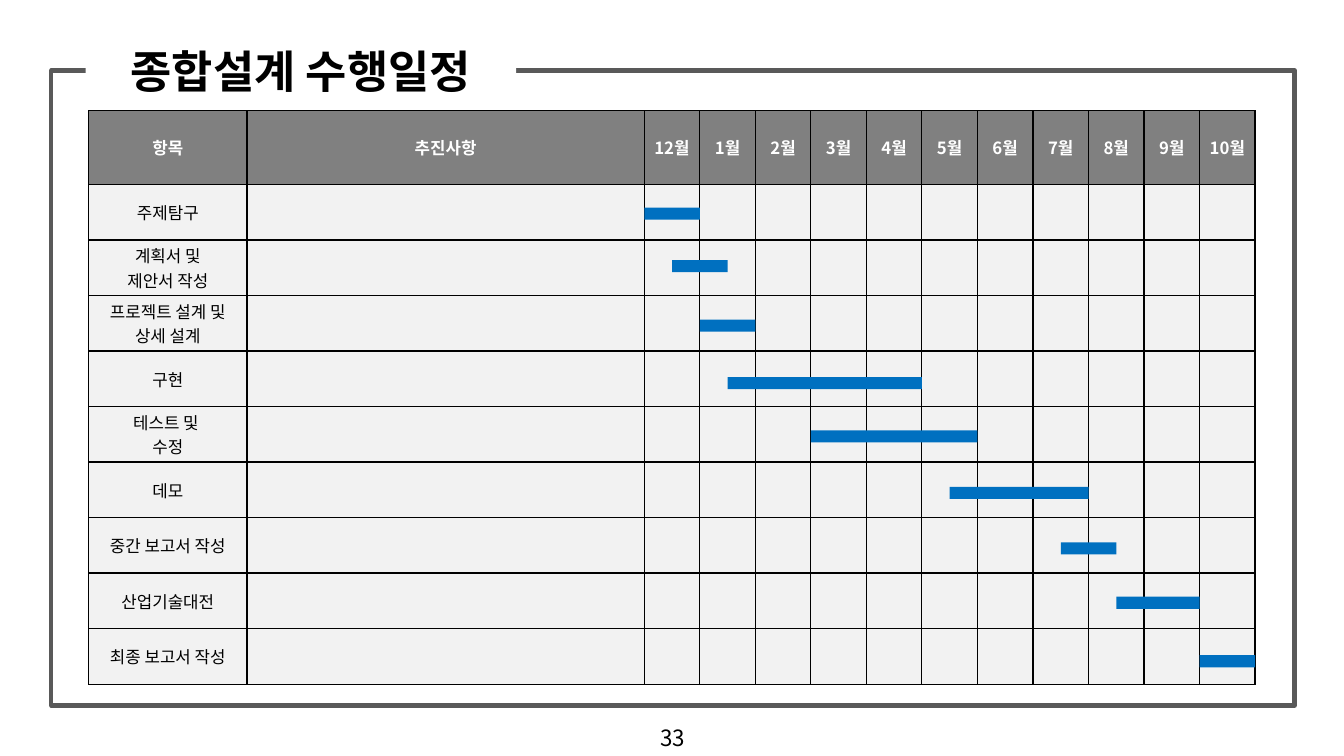
import pptx
import pptx.util
import pptx.dml.color
import pptx.enum.shapes
import pptx.enum.text
import pptx.oxml
import pptx.oxml.ns

FONT = "Noto Sans CJK KR"
TITLE = "종합설계 수행일정"
PAGE = "33"
HEADERS = ["항목", "추진사항"]
MONTHS = ["12월", "1월", "2월", "3월", "4월", "5월", "6월", "7월", "8월", "9월", "10월"]
# task, first month offset, months, bar top
TASKS = [
    ("주제탐구", 0, 1, 2.06),
    ("계획서 및\n제안서 작성", 0.5, 1, 2.58),
    ("프로젝트 설계 및 상세 설계", 1, 1, 3.17),
    ("구현", 1.5, 3.5, 3.74),
    ("테스트 및 \n수정", 3, 3, 4.27),
    ("데모", 5.5, 2.5, 4.83),
    ("중간 보고서 작성", 7.5, 1, 5.38),
    ("산업기술대전", 8.5, 1.5, 5.92),
    ("최종 보고서 작성", 10, 1, 6.5),
]
LEFT, TOP, WIDTH, HEIGHT = 0.88, 1.1, 11.57, 5.69
TEXT_COLS = [1.57, 3.94]
HEAD_H, BAR_H = 0.73, 0.12

Inches, Pt = pptx.util.Inches, pptx.util.Pt
RECT = pptx.enum.shapes.MSO_SHAPE.RECTANGLE
MIDDLE = pptx.enum.text.MSO_ANCHOR.MIDDLE
CENTER = pptx.enum.text.PP_ALIGN.CENTER


def paint(fmt, color):
    fmt.solid()
    fmt.fore_color.rgb = pptx.dml.color.RGBColor.from_string(color)


def write(tf, text, color, **style):
    for i, line in enumerate(text.split("\n")):
        p = tf.paragraphs[0] if i == 0 else tf.add_paragraph()
        p.alignment = CENTER
        r = p.add_run()
        r.text = line
        for name, value in {"name": FONT, **style}.items():
            setattr(r.font, name, value)
        paint(r.font.fill, color)
        ea = pptx.oxml.parse_xml(f'<a:ea {pptx.oxml.ns.nsdecls("a")} typeface="{FONT}"/>')
        r.font._element.append(ea)


def add_rect(s, box, fill=None, line=None):
    sp = s.shapes.add_shape(RECT, *map(Inches, box))
    sp.shadow.inherit = False
    if fill:
        paint(sp.fill, fill)
    else:
        sp.fill.background()
    if line:
        paint(sp.line.fill, line)
        sp.line.width = Pt(3)
    else:
        sp.line.fill.background()
    return sp


def format_cell(cell, fill):
    tcPr = cell._tc.get_or_add_tcPr()
    for side in ("lnL", "lnR", "lnT", "lnB"):
        tcPr.append(pptx.oxml.parse_xml(
            f'<a:{side} {pptx.oxml.ns.nsdecls("a")} w="12700"><a:solidFill>'
            f'<a:srgbClr val="000000"/></a:solidFill></a:{side}>'))
    paint(cell.fill, fill)
    values = {"vertical_anchor": MIDDLE, "margin_top": 0, "margin_bottom": 0}
    for name, value in values.items():
        setattr(cell, name, value)


def main():
    prs = pptx.Presentation()
    prs.slide_width, prs.slide_height = Inches(13.33), Inches(7.5)
    s = prs.slides.add_slide(prs.slide_layouts[6])

    add_rect(s, (0.51, 0.7, 12.33, 6.3), line="595959")
    title = add_rect(s, (0.85, 0.38, 4.27, 0.64), fill="FFFFFF")
    title.text_frame.vertical_anchor = MIDDLE
    write(title.text_frame, TITLE, "000000", size=Pt(32), bold=True)
    page = s.shapes.add_textbox(*map(Inches, (6.36, 7.13, 0.63, 0.37)))
    page.text_frame.word_wrap = True
    page.text_frame.vertical_anchor = MIDDLE
    write(page.text_frame, PAGE, "000000", size=Pt(16))

    month_w = (WIDTH - sum(TEXT_COLS)) / len(MONTHS)
    row_h = (HEIGHT - HEAD_H) / len(TASKS)
    widths = TEXT_COLS + [month_w] * len(MONTHS)
    heights = [HEAD_H] + [row_h] * len(TASKS)
    rows = [HEADERS + MONTHS] + [[task[0]] + [""] * (len(widths) - 1) for task in TASKS]

    table = s.shapes.add_table(len(heights), len(widths),
                               *map(Inches, (LEFT, TOP, WIDTH, HEIGHT))).table
    table.horz_banding = False
    for col, w in zip(table.columns, widths):
        col.width = Inches(w)
    for row, h, texts in zip(table.rows, heights, rows):
        row.height = Inches(h)
        head = texts is rows[0]
        for cell, text in zip(row.cells, texts):
            format_cell(cell, "808080" if head else "F2F2F2")
            if text:
                write(cell.text_frame, text, "FFFFFF" if head else "000000",
                      size=Pt(12), bold=head)

    chart_left = LEFT + sum(TEXT_COLS)
    for _, start, months, top in TASKS:
        add_rect(s, (chart_left + start * month_w, top, months * month_w, BAR_H), fill="0070C0")

    prs.save("out.pptx")


if __name__ == "__main__":
    main()
